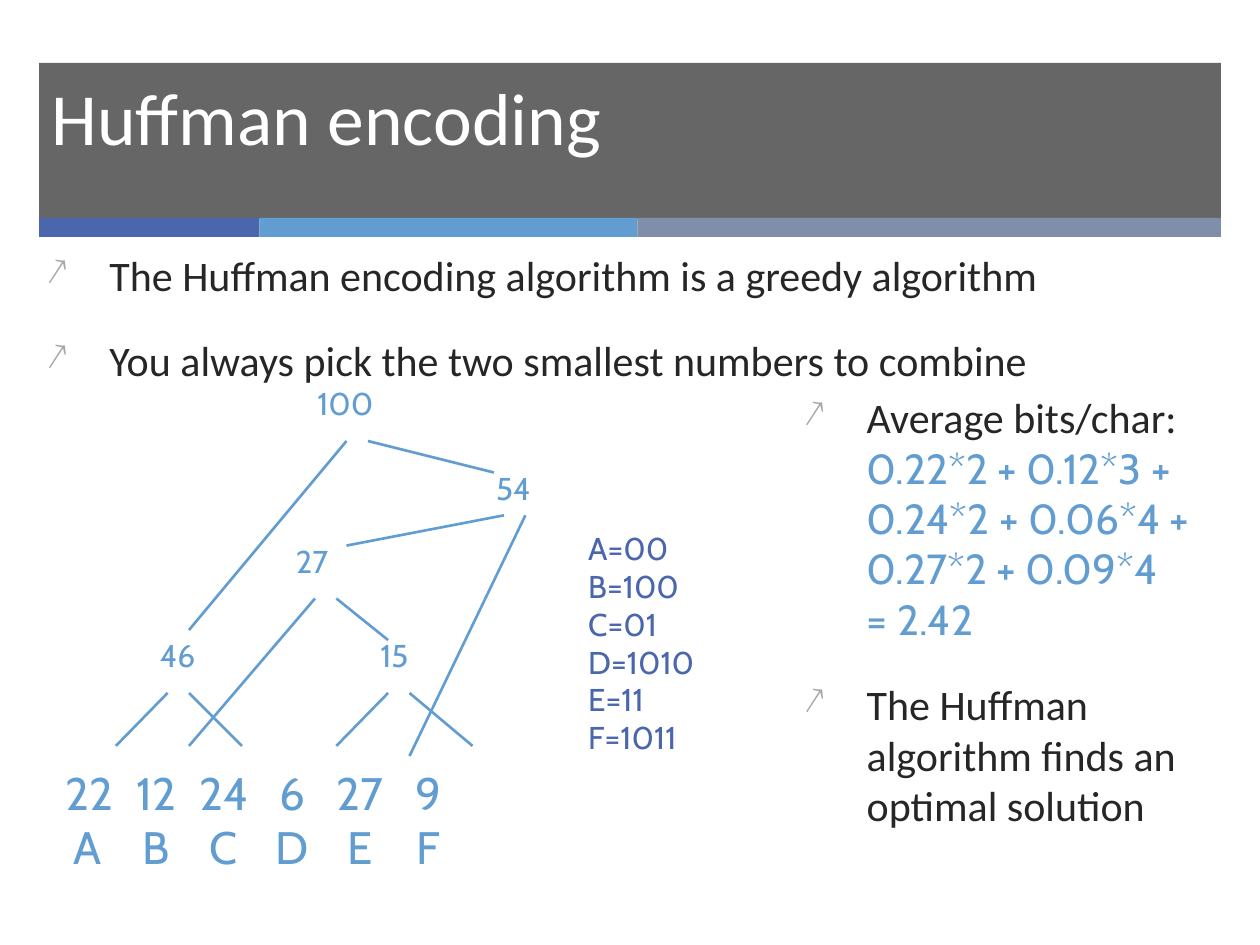
from lxml import etree
from pptx import Presentation
from pptx.dml.color import RGBColor
from pptx.enum.shapes import MSO_CONNECTOR, MSO_SHAPE
from pptx.enum.text import MSO_ANCHOR
from pptx.oxml.ns import qn
from pptx.util import Inches, Pt

RECT, LINE = MSO_SHAPE.RECTANGLE, MSO_CONNECTOR.STRAIGHT
TOP, MIDDLE = MSO_ANCHOR.TOP, MSO_ANCHOR.MIDDLE
DARK, BLUE, INDIGO, SLATE = "262626", "629DD1", "4A66AC", "7F8FA9"

# Content: a paragraph is a list of lines, a line is (text, format)
TITLE = {"name": "Calibri", "size": 42, "color": "FFFFFF"}
BODY = {"name": "Calibri", "size": 24, "color": DARK}
SUM = {"name": "Cabin", "size": 24, "color": BLUE}
LEAF = {"name": "Cabin", "size": 26, "color": BLUE}
NODE = {"name": "Cabin", "size": 18, "color": BLUE}
CODE = {"name": "Cabin", "size": 18, "color": INDIGO}

INTRO = ["The Huffman encoding algorithm is a greedy algorithm",
         "You always pick the two smallest numbers to combine"]
AVERAGE = ["0.22*2 + 0.12*3 +", "0.24*2 + 0.06*4 +", "0.27*2 + 0.09*4", "= 2.42"]
LEAVES = [("22", "12", "24", "6", "27", "9"), "ABCDEF"]
CODES = ["A=00", "B=100", "C=01", "D=1010", "E=11", "F=1011"]
STRIPES = [(1.75, INDIGO), (3, BLUE), (4.63, SLATE)]

# Tree node: label, left, top, width, its two branches as (from, to)
TREE = [
    ("15", 2.92, 5, 0.75, [((2.67, 5.92), (3.08, 5.5)), ((3.25, 5.5), (3.75, 5.92))]),
    ("27", 2.25, 4.25, 0.58, [((1.5, 5.92), (2.5, 4.75)), ((2.67, 4.75), (3.08, 5.08))]),
    ("46", 1.17, 5, 0.75, [((0.92, 5.92), (1.33, 5.5)), ((1.5, 5.5), (1.92, 5.92))]),
    ("54", 3.84, 3.67, 0.66, [((3.25, 6), (4.17, 4.09)), ((2.75, 4.33), (4, 4.09))]),
    ("100", 2.42, 3, 0.83, [((1.5, 5), (2.75, 3.5)), ((3.92, 3.75), (2.92, 3.5))]),
]
TAB_START, TAB_STEP = 0.18, 0.54

prs = Presentation()
prs.slide_width, prs.slide_height = Inches(10), Inches(7.5)
s = prs.slides.add_slide(prs.slide_layouts[6])


def rgb(color):
    return RGBColor.from_string(color)


def add(parent, tag, **attrs):
    return etree.SubElement(parent, qn(tag), {k: str(v) for k, v in attrs.items()})


def bar(left, top, width, height, color):
    sp = s.shapes.add_shape(RECT, *map(Inches, (left, top, width, height)))
    sp.shadow.inherit = False
    sp.fill.solid()
    sp.fill.fore_color.rgb = rgb(color)
    sp.line.fill.background()
    return sp


def arrow_bullet(p):
    pPr = p._p.get_or_add_pPr()
    pPr.set("marL", str(Inches(0.5)))
    pPr.set("indent", str(-Inches(0.5)))
    add(add(pPr, "a:buClr"), "a:srgbClr", val="A6A6A6")
    add(pPr, "a:buSzPct", val=90000)
    add(pPr, "a:buChar", char="↗")


def centre_tabs(p, count):
    tabs = add(p._p.get_or_add_pPr(), "a:tabLst")
    for i in range(count):
        add(tabs, "a:tab", pos=Inches(TAB_START + i * TAB_STEP), algn="ctr")


def text(left, top, width, height, paragraphs, bullets=False, tabs=0, anchor=TOP):
    tf = s.shapes.add_textbox(*map(Inches, (left, top, width, height))).text_frame
    tf.word_wrap, tf.vertical_anchor = True, anchor
    for i, lines in enumerate(paragraphs):
        p = tf.add_paragraph() if i else tf.paragraphs[0]
        if i:
            p.space_before = Pt(20)
        if bullets:
            arrow_bullet(p)
        if tabs:
            centre_tabs(p, tabs)
        for j, (words, fmt) in enumerate(lines):
            if j:
                p.add_line_break()
            r = p.add_run()
            r.text = words
            for key, value in fmt.items():
                if key == "color":
                    r.font.color.rgb = rgb(value)
                else:
                    setattr(r.font, key, Pt(value) if key == "size" else value)


def branch(start, end):
    c = s.shapes.add_connector(LINE, *map(Inches, start + end))
    c.line.color.rgb = rgb(BLUE)
    c.line.width = Pt(1.5)
    add(c._element.spPr, "a:effectLst")


# Title band, slightly see-through, with the striped edge below
band = bar(0.31, 0.5, 9.38, 1.24, DARK)
add(band._element.spPr.find(".//" + qn("a:srgbClr")), "a:alpha", val=70000)
x = 0.31
for width, color in STRIPES:
    bar(x, 1.73, width, 0.15, color)
    x += width
text(0.31, 0.51, 8.52, 0.83, [[("Huffman encoding", TITLE)]], anchor=MIDDLE)

# Bulleted text
text(0.27, 1.93, 9.38, 1.16, [[(words, BODY)] for words in INTRO], bullets=True)
text(6.28, 3.06, 3.49, 3.97,
     [[("Average bits/char:", BODY)] + [(row, SUM) for row in AVERAGE],
      [("The Huffman algorithm finds an optimal solution", BODY)]], bullets=True)

# Tree: leaves in centred columns, then inner nodes with branches
text(0.42, 6.02, 4.17, 0.97,
     [[("\t" + "\t".join(row), LEAF) for row in LEAVES]], tabs=len(LEAVES[0]))
for label, left, top, width, branches in TREE:
    text(left, top, width, 0.5, [[(label, NODE)]])
    for start, end in branches:
        branch(start, end)

# Resulting codes
text(4.57, 4.15, 1.45, 2.49, [[(code, CODE) for code in CODES]])

prs.save("out.pptx")
